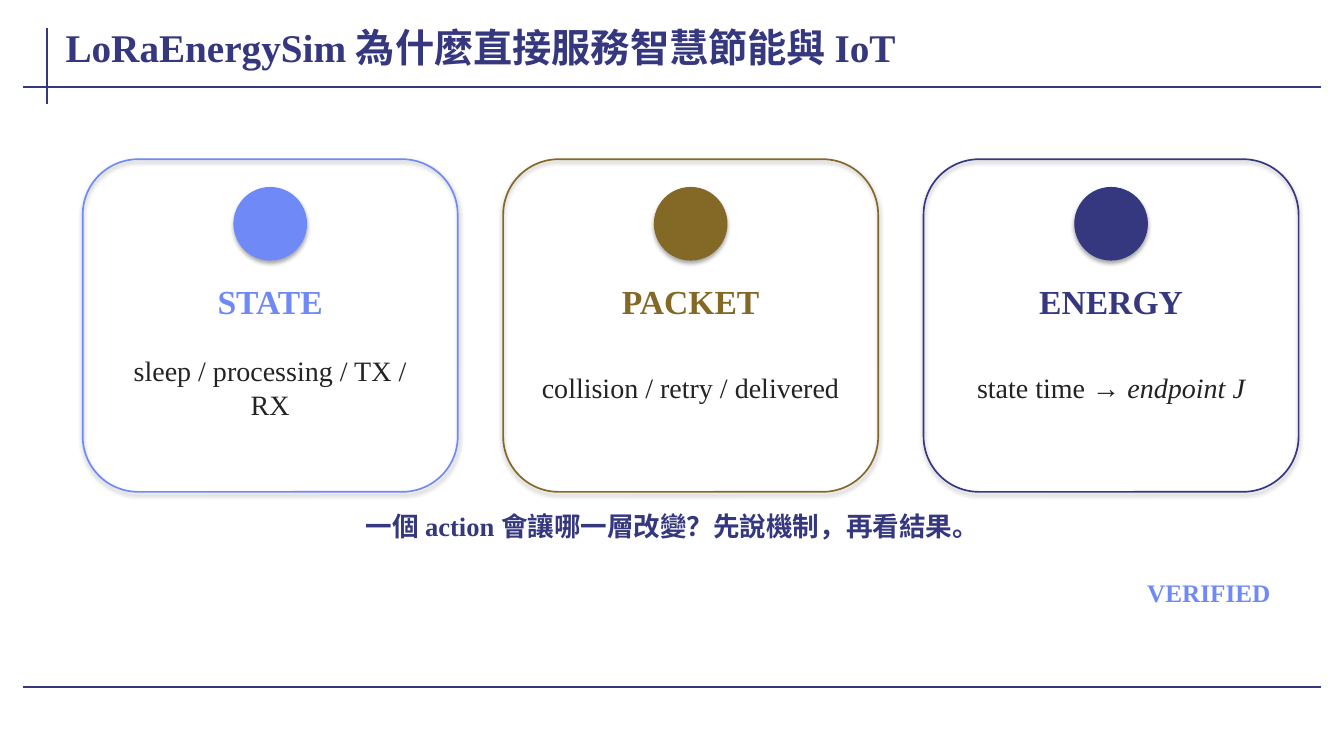
from lxml import etree
from pptx import Presentation
from pptx.dml.color import RGBColor
from pptx.enum.shapes import MSO_CONNECTOR as Link, MSO_SHAPE as Kind
from pptx.enum.text import MSO_ANCHOR as Anchor, MSO_AUTO_SIZE as Auto, PP_ALIGN as Align
from pptx.oxml import parse_xml
from pptx.oxml.ns import nsdecls, qn
from pptx.util import Inches, Pt

NAVY = RGBColor(0x35, 0x37, 0x7F)
BLUE = RGBColor(0x6F, 0x89, 0xF7)
GOLD = RGBColor(0x84, 0x68, 0x26)
INK = RGBColor(0x23, 0x23, 0x23)
FONT = "Times New Roman"

# Content: a body is a list of (text, italic) runs
TITLE = "LoRaEnergySim 為什麼直接服務智慧節能與 IoT"
CARDS = [
    ("STATE", BLUE, [("sleep / processing / TX / RX", False)]),
    ("PACKET", GOLD, [("collision / retry / delivered", False)]),
    ("ENERGY", NAVY, [("state time → ", False), ("endpoint J", True)]),
]
PROMPT = "一個 action 會讓哪一層改變？先說機制，再看結果。"
STATUS = "VERIFIED"

# Layout in inches
RULES = [(0.47, 0.28, 0.47, 1.03), (0.23, 0.86, 13.1, 0.86), (0.23, 6.82, 13.1, 6.82)]
LEFT, TOP, WIDE, HIGH, STEP = 0.82, 1.58, 3.72, 3.3, 4.17
DOT, PAD = 0.72, 0.28

SHADOW = (
    f'<a:effectLst {nsdecls("a")}>'
    '<a:outerShdw blurRad="40000" dist="23000" dir="5400000" rotWithShape="0">'
    '<a:srgbClr val="000000"><a:alpha val="35000"/></a:srgbClr>'
    '</a:outerShdw></a:effectLst>'
)

deck = Presentation()
deck.slide_width, deck.slide_height = Inches(13.33), Inches(7.5)
slide = deck.slides.add_slide(deck.slide_layouts[6])


def add_text(runs, box, size, color, bold=True, align=Align.CENTER,
             inset=(0.08, 0.06), auto=Auto.SHAPE_TO_FIT_TEXT):
    frame = slide.shapes.add_textbox(*map(Inches, box)).text_frame
    frame.word_wrap, frame.auto_size = True, auto
    frame.vertical_anchor = Anchor.MIDDLE
    frame.margin_left = frame.margin_right = Inches(inset[0])
    frame.margin_top = frame.margin_bottom = Inches(inset[1])
    para = frame.paragraphs[0]
    para.alignment = align
    for text, slant in runs:
        run = para.add_run()
        run.text = text
        font = run.font
        font.name, font.size, font.bold = FONT, Pt(size), bold
        font.color.rgb = color
        if slant:
            font.italic = True


def add_form(kind, box, color, width, filled):
    form = slide.shapes.add_shape(kind, *map(Inches, box))
    if filled:
        form.fill.solid()
        form.fill.fore_color.rgb = color
    else:
        form.fill.background()
    form.line.color.rgb = color
    form.line.width = Pt(width)
    form._element.spPr.append(parse_xml(SHADOW))


# Frame rules and title
for ends in RULES:
    rule = slide.shapes.add_connector(Link.STRAIGHT, *map(Inches, ends))
    rule.line.color.rgb = NAVY
    rule.line.width = Pt(1.5)
    etree.SubElement(rule._element.spPr, qn("a:effectLst"))
add_text([(TITLE, False)], (0.62, 0.15, 12.49, 0.62), 28, NAVY,
         align=Align.LEFT, inset=(0.03, 0.01), auto=Auto.NONE)

# Cards
for i, (head, color, body) in enumerate(CARDS):
    x = LEFT + i * STEP
    add_form(Kind.ROUNDED_RECTANGLE, (x, TOP, WIDE, HIGH), color, 1.2, False)
    add_form(Kind.OVAL, (x + (WIDE - DOT) / 2, TOP + PAD, DOT, DOT), color, 0.75, True)
    inner = WIDE - 2 * PAD
    add_text([(head, False)], (x + PAD, TOP + 1.18, inner, 0.45), 24, color)
    add_text(body, (x + PAD, TOP + 1.8, inner, 0.92), 20, INK, bold=False)

# Prompt and status
add_text([(PROMPT, False)], (1.12, 5.03, 11.1, 0.38), 19, NAVY)
add_text([(STATUS, False)], (8, 5.72, 4.62, 0.32), 18, BLUE,
         align=Align.RIGHT, inset=(0.02, 0))

deck.save("out.pptx")
